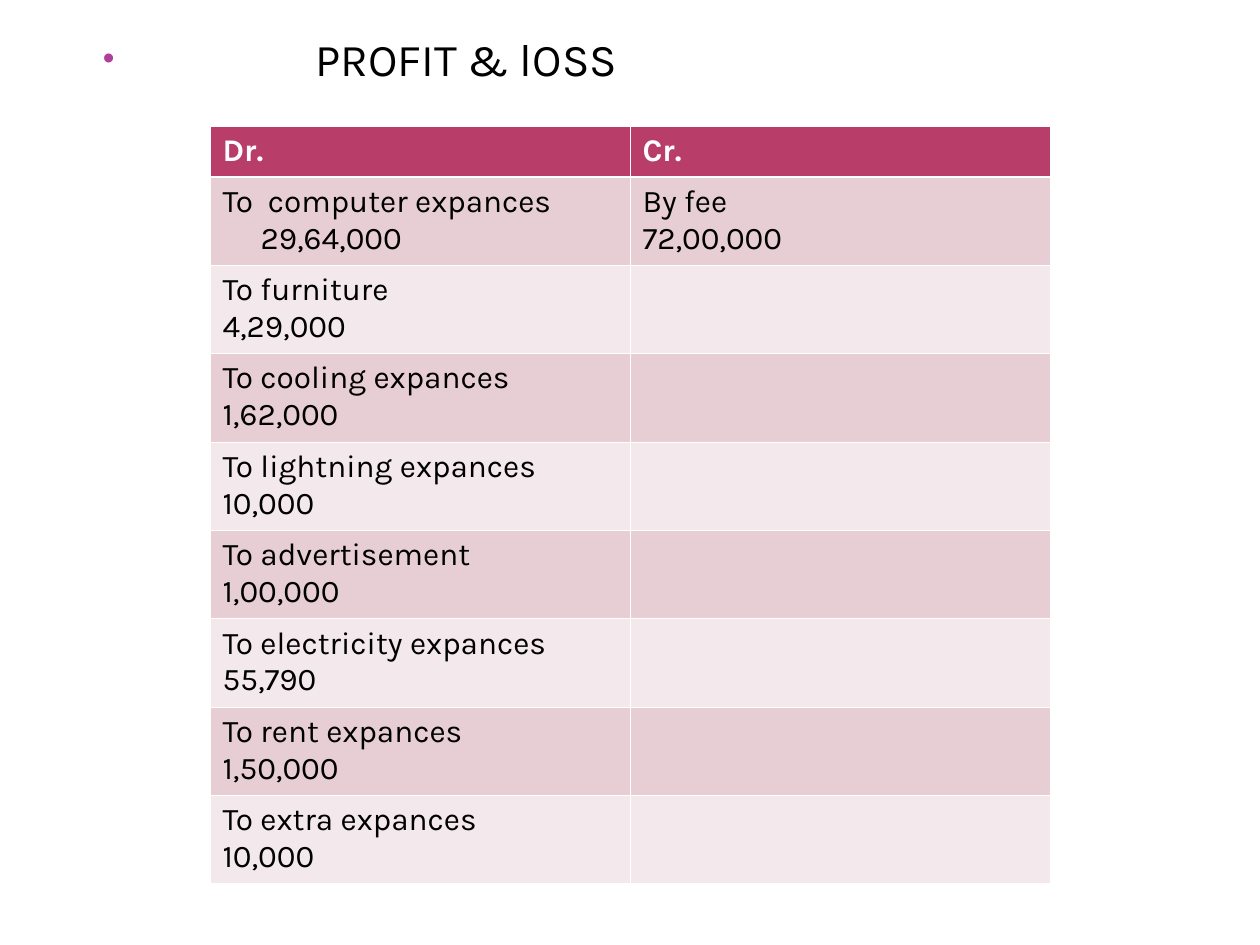
from dataclasses import dataclass

from pptx import Presentation
from pptx.dml.color import RGBColor as Color
from pptx.enum.text import MSO_ANCHOR as Anchor, MSO_AUTO_SIZE as AutoSize, PP_ALIGN as Align
from pptx.oxml import parse_xml
from pptx.oxml.ns import nsdecls
from pptx.util import Pt

EMU_PER_PX = 914400 / 126


@dataclass(frozen=True)
class Theme:
    font: str = "Karla"
    title_size: int = 26
    cell_size: int = 18
    ink: str = "000000"
    paper: str = "FFFFFF"
    bullet: str = "B13F9A"
    header: str = "B83D68"
    bands: tuple = ("E6CED4", "F3E8EB")
    thin: float = 0.45
    thick: float = 1.5


THEME = Theme()
HEADINGS = ("Dr.", "Cr.")
DEBITS = (
    ("To  computer expances", "29,64,000"),
    ("To furniture", "4,29,000"),
    ("To cooling expances", "1,62,000"),
    ("To lightning expances", "10,000"),
    ("To advertisement", "1,00,000"),
    ("To electricity expances", "55,790"),
    ("To rent expances", "1,50,000"),
    ("To extra expances", "10,000"),
)
CREDITS = (("By fee", "72,00,000"),)


def px(length):
    return round(length * EMU_PER_PX)


def set_all(target, values):
    for name, value in values.items():
        setattr(target, name, value)


def format_font(paragraph, size, color, bold=False):
    set_all(paragraph.font, {"name": THEME.font, "size": Pt(size), "bold": bold})
    paragraph.font.color.rgb = Color.from_string(color)


def set_bullet(paragraph, indent):
    """Hang a coloured bullet the given px left of the text."""
    properties = paragraph._p.get_or_add_pPr()
    properties.set("marL", str(px(indent)))
    properties.set("indent", str(-px(indent)))
    for xml in (
        f'<a:buClr {nsdecls("a")}><a:srgbClr val="{THEME.bullet}"/></a:buClr>',
        f'<a:buSzPct {nsdecls("a")} val="73000"/>',
        f'<a:buFont {nsdecls("a")} typeface="Arial"/>',
        f'<a:buChar {nsdecls("a")} char="•"/>',
    ):
        properties.append(parse_xml(xml))


def place_title(slide, left, top, width, height):
    title = slide.shapes.title
    set_all(title, {"left": px(left), "top": px(top), "width": px(width), "height": px(height)})
    frame = title.text_frame
    set_all(frame, {
        "text": "PROFIT & lOSS", "word_wrap": True, "auto_size": AutoSize.NONE,
        "vertical_anchor": Anchor.TOP, "margin_left": px(12), "margin_top": px(10),
    })
    paragraph = frame.paragraphs[0]
    set_bullet(paragraph, 212)
    paragraph.alignment = Align.LEFT
    format_font(paragraph, THEME.title_size, THEME.ink)


def set_borders(cell, row):
    """Thin white lines, with a thick one between the header and the body."""
    properties = cell._tc.get_or_add_tcPr()
    widths = {"L": THEME.thin, "R": THEME.thin,
              "T": THEME.thick if row == 1 else THEME.thin,
              "B": THEME.thick if row == 0 else THEME.thin}
    for side, width in widths.items():
        properties.append(parse_xml(
            f'<a:ln{side} {nsdecls("a")} w="{Pt(width)}"><a:solidFill>'
            f'<a:srgbClr val="{THEME.paper}"/></a:solidFill></a:ln{side}>'))


def fill_cell(cell, row, lines):
    is_header = row == 0
    set_borders(cell, row)
    cell.fill.solid()
    cell.fill.fore_color.rgb = Color.from_string(
        THEME.header if is_header else THEME.bands[(row - 1) % 2])
    cell.text_frame.text = "\n".join(lines)
    for paragraph in cell.text_frame.paragraphs:
        format_font(paragraph, THEME.cell_size,
                    THEME.paper if is_header else THEME.ink, is_header)


def place_accounts(slide, left, top, width, height, header_height):
    row_count = len(DEBITS) + 1
    table = slide.shapes.add_table(
        row_count, len(HEADINGS), px(left), px(top), px(width), px(height)).table
    for column in table.columns:
        column.width = px(width / len(HEADINGS))
    body_height = (height - header_height) / len(DEBITS)
    for index, row in enumerate(table.rows):
        row.height = px(body_height if index else header_height)
    for column, entries in enumerate((DEBITS, CREDITS)):
        blanks = ((),) * (len(DEBITS) - len(entries))
        for row, lines in enumerate(((HEADINGS[column],), *entries, *blanks)):
            fill_cell(table.cell(row, column), row, lines)
    first_amount = table.cell(1, 0).text_frame.paragraphs[1]
    first_amount._p.get_or_add_pPr().set("marL", str(px(38)))


def main():
    presentation = Presentation()
    set_all(presentation, {"slide_width": px(1260), "slide_height": px(945)})
    slide = presentation.slides.add_slide(presentation.slide_layouts[5])
    place_title(slide, 91, 21, 1071, 924)
    place_accounts(slide, 210, 126, 840, 758, 51)
    presentation.save("out.pptx")


if __name__ == "__main__":
    main()
